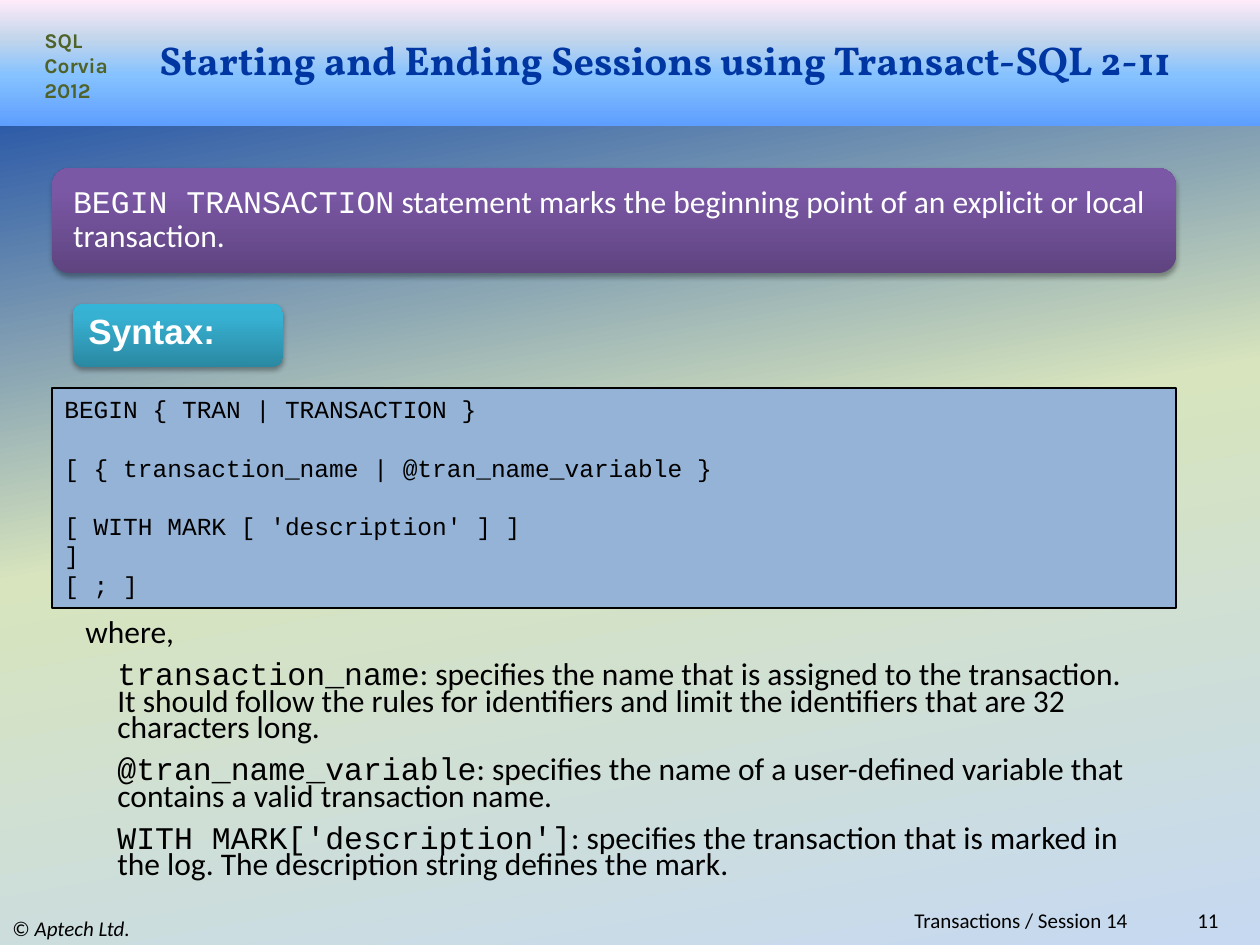
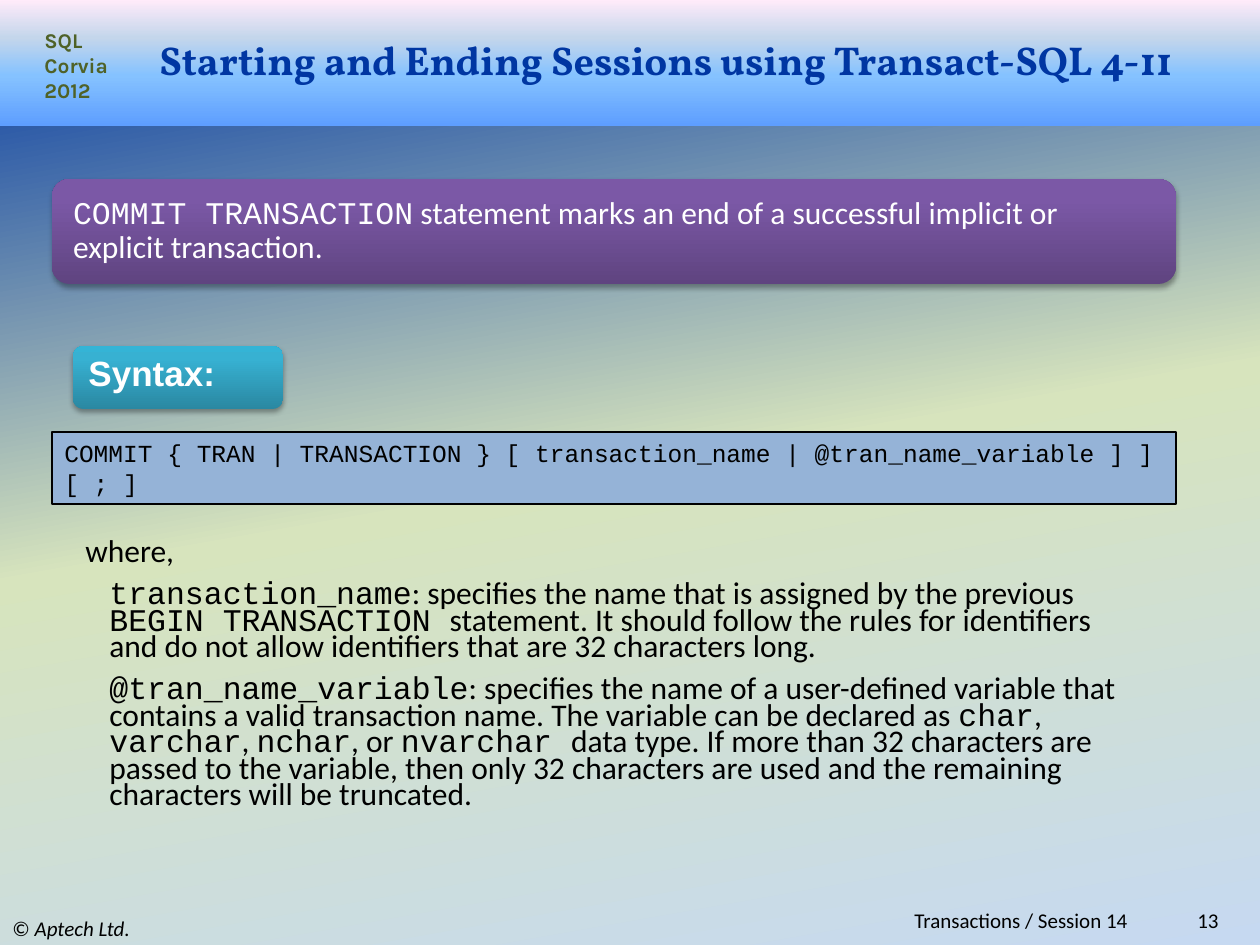
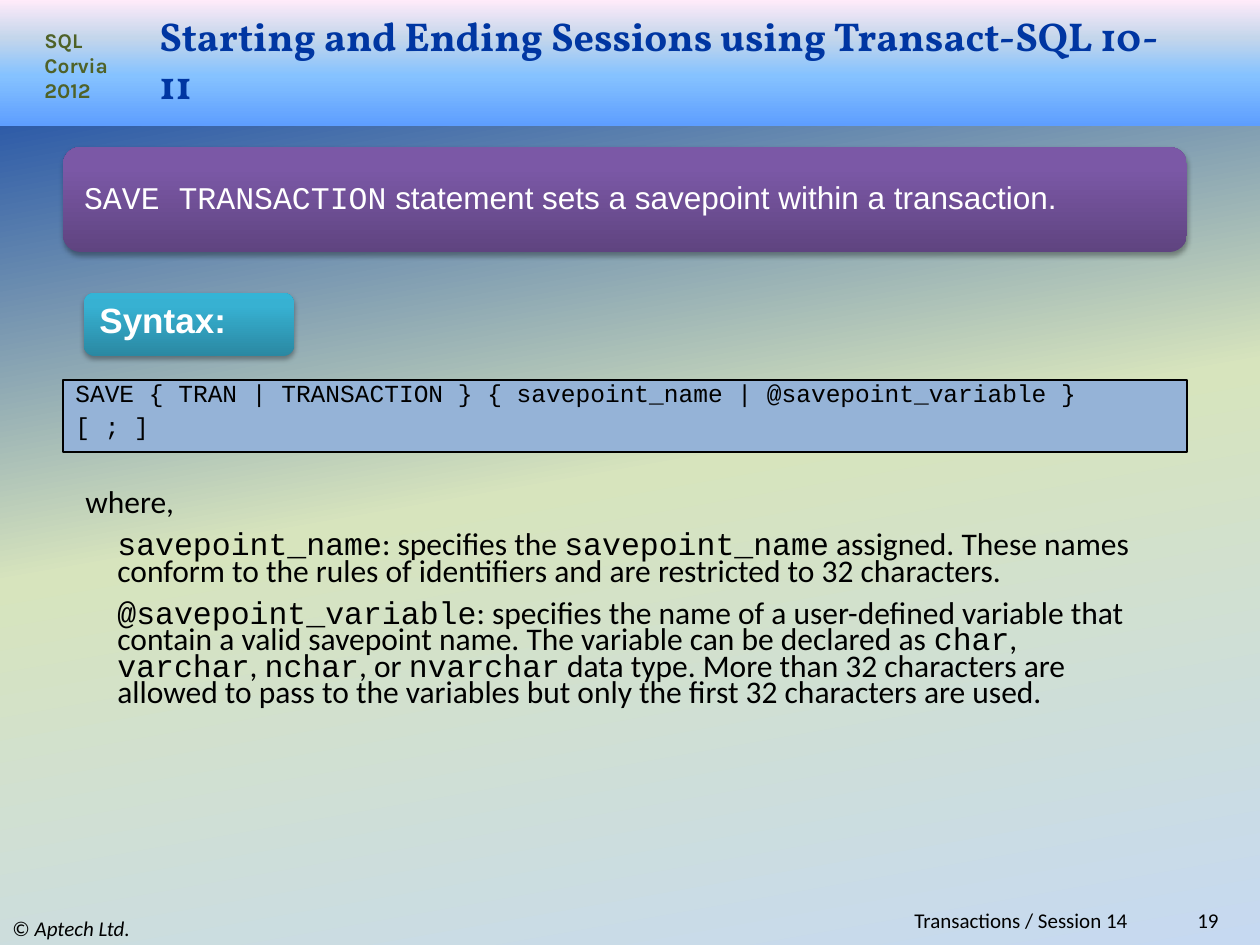
from pptx import Presentation
from pptx.dml.color import RGBColor
from pptx.enum.shapes import MSO_SHAPE
from pptx.enum.text import MSO_ANCHOR, PP_ALIGN
from pptx.oxml import parse_xml
from pptx.oxml.ns import nsdecls, qn
from pptx.util import Pt

SCALE = 914400 / 126  # EMU in one px

BLACK = RGBColor(0x00, 0x00, 0x00)
WHITE = RGBColor(0xFF, 0xFF, 0xFF)
NAVY = RGBColor(0x00, 0x36, 0xA2)
OLIVE = RGBColor(0x4F, 0x62, 0x28)
STEEL = RGBColor(0x95, 0xB3, 0xD7)

# Gradients: position in percent, colour
PAGE = [(0, NAVY), (50, RGBColor(0xD7, 0xE4, 0xBD)), (100, RGBColor(0xC6, 0xD9, 0xF1))]
BAND = [(0, RGBColor(0x5E, 0x9E, 0xFF)), (40, RGBColor(0x85, 0xC2, 0xFF)),
        (70, RGBColor(0xC4, 0xD6, 0xEB)), (100, RGBColor(0xFF, 0xEB, 0xFA))]
PLUM = [(0, RGBColor(0x5F, 0x44, 0x80)), (80, RGBColor(0x7B, 0x58, 0xA6)),
        (100, RGBColor(0x7C, 0x57, 0xA8))]
TEAL = [(0, RGBColor(0x2A, 0x88, 0xA2)), (80, RGBColor(0x37, 0xB1, 0xD2)),
        (100, RGBColor(0x34, 0xB4, 0xD6))]

SHADE = (f'<a:outerShdw {nsdecls("a")} blurRad="40000" dist="23000" dir="5400000" '
         'rotWithShape="0"><a:srgbClr val="000000"><a:alpha val="35000"/></a:srgbClr>'
         '</a:outerShdw>')
MONO = "Courier New"
MID = MSO_ANCHOR.MIDDLE


def blend(owner, fill, stops, angle=90):
    """Fill with a linear gradient of any number of stops."""
    fill.gradient()
    fill.gradient_angle = angle
    ramp = next(owner.iter(qn("a:gsLst")))
    for stop in list(ramp):
        ramp.remove(stop)
    for pos, tint in stops:
        ramp.append(parse_xml(f'<a:gs {nsdecls("a")} pos="{pos * 1000}">'
                              f'<a:srgbClr val="{tint}"/></a:gs>'))


def write(text, box=None, at=None, size=12, font="Calibri", color=BLACK, bold=False,
          align=PP_ALIGN.LEFT, anchor=MSO_ANCHOR.TOP, lead=None, gaps=(), indent=0,
          side=None, mark=MONO):
    """Put lines into a shape or a new text box; `parts` take the mark font."""
    if box is None:
        box = slide.shapes.add_textbox(*[round(n * SCALE) for n in at])
    frame = box.text_frame
    frame.word_wrap = True
    frame.vertical_anchor = anchor
    if side is not None:
        frame.margin_left = frame.margin_right = round(side * SCALE)
    for i, line in enumerate(text.split("\n")):
        para = frame.add_paragraph() if i else frame.paragraphs[0]
        para.alignment = align
        if lead:
            para.line_spacing = lead
        if i and gaps:
            para.space_before = Pt(gaps[i - 1])
        if i and indent:
            para._p.get_or_add_pPr().set("marL", str(round(indent * SCALE)))
        for j, part in enumerate(line.split("`")):
            if part:
                run = para.add_run()
                run.text = part
                run.font.name = mark if j % 2 else font
                run.font.size = Pt(size)
                run.font.bold = bold
                run.font.color.rgb = color
    return box


TOPICS = [
    dict(page=11, part="2-11", left=52, head=168, tag=304, top=388, high=220,
         lead=1.0, gaps=(16.5, 16.5, 0, 0), note=616, indent=32, font="Calibri",
         text="`BEGIN TRANSACTION` statement marks the beginning point of an explicit "
              "or local transaction.",
         code="BEGIN { TRAN | TRANSACTION }\n"
              "[ { transaction_name | @tran_name_variable }\n"
              "[ WITH MARK [ 'description' ] ]\n]\n[ ; ]",
         terms="`transaction_name`: specifies the name that is assigned to the "
               "transaction. It should follow the rules for identifiers and limit the "
               "identifiers that are 32 characters long.\n"
               "`@tran_name_variable`: specifies the name of a user-defined variable "
               "that contains a valid transaction name.\n"
               "`WITH MARK['description']`: specifies the transaction that is marked in "
               "the log. The description string defines the mark."),
    dict(page=13, part="4-11", left=52, head=179, tag=346, top=432, high=72,
         lead=1.0, gaps=(0,), note=535, indent=24, font="Calibri",
         text="`COMMIT TRANSACTION` statement marks an end of a successful implicit or "
              "explicit transaction.",
         code="COMMIT { TRAN | TRANSACTION } [ transaction_name | "
              "@tran_name_variable ] ]\n[ ; ]",
         terms="`transaction_name`: specifies the name that is assigned by the previous "
               "`BEGIN TRANSACTION `statement. It should follow the rules for "
               "identifiers and do not allow identifiers that are 32 characters long.\n"
               "`@tran_name_variable`: specifies the name of a user-defined variable "
               "that contains a valid transaction name. The variable can be declared as "
               "`char`, `varchar`, `nchar`, or `nvarchar `data type. If more than 32 "
               "characters are passed to the variable, then only 32 characters are used "
               "and the remaining characters will be truncated."),
    dict(page=19, part="10-11", left=63, head=147, tag=293, top=380, high=72,
         lead=0.7, gaps=(7,), note=486, indent=32, font="Arial",
         text="`SAVE TRANSACTION` statement sets a savepoint within a transaction.",
         code="SAVE { TRAN | TRANSACTION } { savepoint_name | @savepoint_variable }\n"
              "[ ; ]",
         terms="`savepoint_name`: specifies the `savepoint_name` assigned. These names "
               "conform to the rules of identifiers and are restricted to 32 "
               "characters.\n"
               "`@savepoint_variable`: specifies the name of a user-defined variable "
               "that contain a valid savepoint name. The variable can be declared as "
               "`char`, `varchar`, `nchar`, or `nvarchar` data type. More than 32 "
               "characters are allowed to pass to the variables but only the first 32 "
               "characters are used."),
]

deck = Presentation()
deck.slide_width = round(1260 * SCALE)
deck.slide_height = round(945 * SCALE)

for topic in TOPICS:
    slide = deck.slides.add_slide(deck.slide_layouts[6])
    blend(slide.element, slide.background.fill, PAGE, angle=280)
    left = topic["left"]

    # Band, rounded panels and code box
    shapes = []
    for kind, at, stops in [
        (MSO_SHAPE.RECTANGLE, (0, 0, 1260, 126), BAND),
        (MSO_SHAPE.ROUNDED_RECTANGLE, (left, topic["head"], 1124, 105), PLUM),
        (MSO_SHAPE.ROUNDED_RECTANGLE, (left + 21, topic["tag"], 210, 63), TEAL),
        (MSO_SHAPE.RECTANGLE, (left, topic["top"], 1124, topic["high"]), None),
    ]:
        shape = slide.shapes.add_shape(kind, *[round(n * SCALE) for n in at])
        shape.shadow.inherit = False
        if stops:
            blend(shape.element, shape.fill, stops)
            shape.line.fill.background()
        else:
            shape.fill.solid()
            shape.fill.fore_color.rgb = STEEL
            shape.line.color.rgb = BLACK
            shape.line.width = Pt(0.75)
        if kind == MSO_SHAPE.ROUNDED_RECTANGLE:
            next(shape.element.iter(qn("a:effectLst"))).append(parse_xml(SHADE))
        shapes.append(shape)
    band, panel, tag, code = shapes

    # Header and footer
    write("SQL Corvia 2012", at=(32, 21, 95, 90), font="Karla", color=OLIVE, bold=True)
    write("Starting and Ending Sessions using Transact-SQL " + topic["part"],
          at=(147, 31, 1050, 57), size=23, font="Vollkorn", color=NAVY, bold=True,
          anchor=MID)
    owner = write("© `Aptech Ltd.`", at=(0, 911, 420, 34), anchor=MID, mark="Calibri")
    owner.text_frame.paragraphs[0].runs[1].font.italic = True
    write("Transactions / Session 14", at=(315, 909, 825, 23), anchor=MID,
          align=PP_ALIGN.RIGHT)
    write(str(topic["page"]), at=(1124, 909, 107, 23), anchor=MID, align=PP_ALIGN.RIGHT)

    # Statement, syntax and terms
    write(topic["text"], box=panel, size=18, font=topic["font"], color=WHITE,
          anchor=MID, lead=0.9, side=16)
    write("Syntax:", box=tag, size=20, font="Arial", color=WHITE, bold=True,
          anchor=MID, lead=0.7)
    write(topic["code"], box=code, size=14, font=MONO, lead=topic["lead"],
          gaps=topic["gaps"])
    write("where,\n" + topic["terms"], at=(73, topic["note"], 1081, 284), size=18,
          lead=0.7, gaps=(9, 9, 9), indent=topic["indent"])

deck.save("out.pptx")
